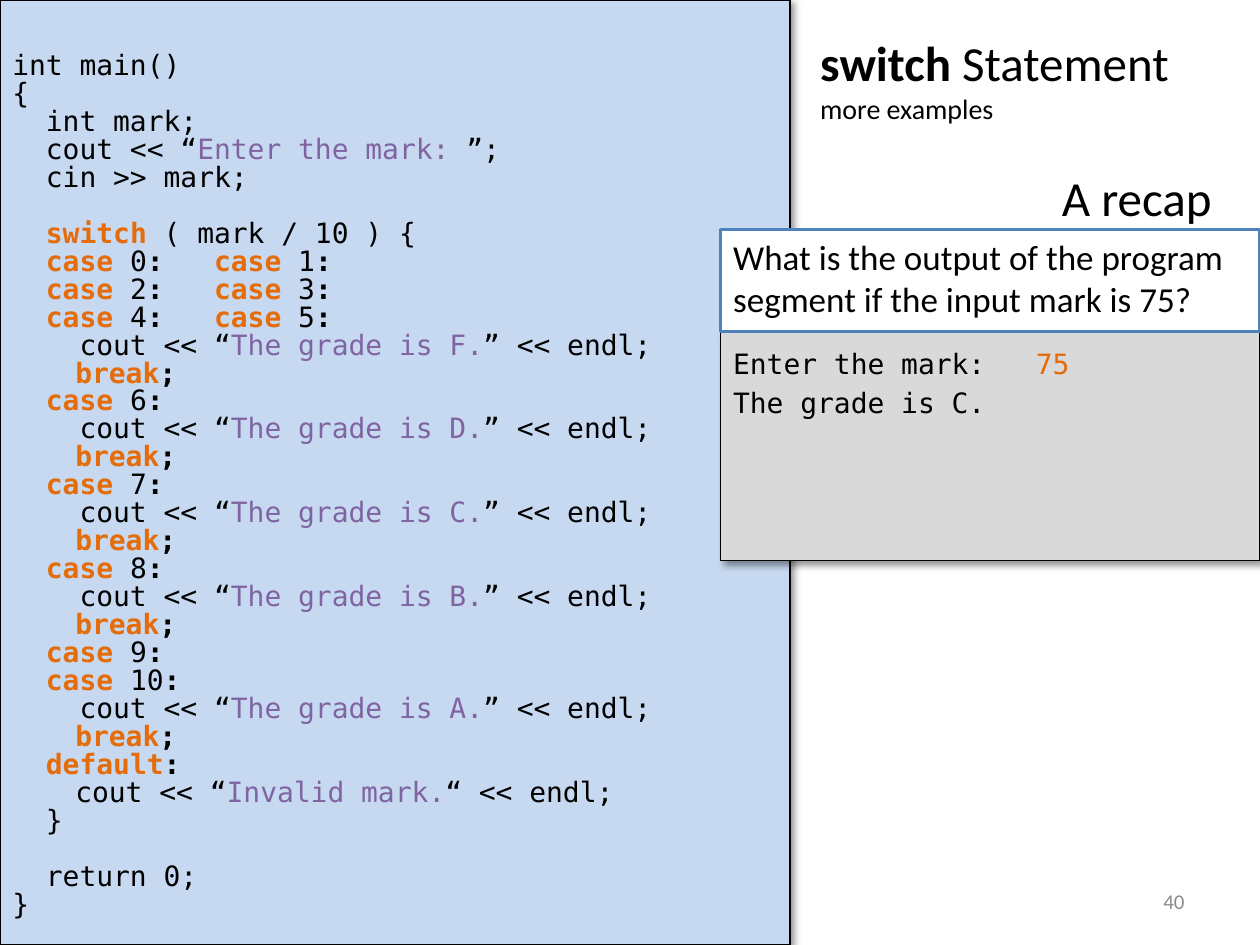
"""Build a slide that explains the switch statement with a worked example."""
from dataclasses import dataclass
from typing import Optional

from lxml import etree
from pptx import Presentation
from pptx import util as u
from pptx.dml.color import RGBColor
from pptx.enum import shapes, text
from pptx.oxml import ns

BLACK = RGBColor(0x00, 0x00, 0x00)
WHITE = RGBColor(0xFF, 0xFF, 0xFF)
PALE_BLUE = RGBColor(0xC6, 0xD9, 0xF1)
BLUE = RGBColor(0x4F, 0x81, 0xBD)
LIGHT_GREY = RGBColor(0xD9, 0xD9, 0xD9)
GREY = RGBColor(0x8C, 0x8C, 0x8C)
ORANGE = RGBColor(0xE4, 0x6C, 0x0A)
PURPLE = RGBColor(0x80, 0x64, 0xA2)

SANS, MONO = "Calibri", "DejaVu Sans Mono"
COLUMNS, ROWS = 100, 75
CELL = u.Inches(0.1)
CODE_PITCH = u.Pt(16)
CODE_TAB = u.Inches(0.5)


@dataclass(frozen=True)
class Area:
    """A place on the slide, in columns and rows of the grid."""
    left: float
    top: float
    width: float
    height: float

    def lengths(self) -> list[int]:
        """Return left, top, width and height as slide lengths."""
        return [round(n * CELL) for n in (self.left, self.top, self.width, self.height)]


@dataclass(frozen=True)
class Span:
    """A piece of text in one format; size overrides that of the box."""
    words: str
    colour: RGBColor = BLACK
    bold: bool = False
    size: Optional[float] = None


@dataclass(frozen=True)
class Line:
    """A paragraph, optionally one empty line below the previous one."""
    spans: tuple[Span, ...]
    gap: bool = False


def line(*parts: Span | str, gap: bool = False) -> Line:
    """Make a line from spans and plain strings."""
    return Line(tuple(Span(p) if isinstance(p, str) else p for p in parts), gap)


def keyword(word: str) -> Span:
    """Make a highlighted keyword."""
    return Span(word, ORANGE, True)


def cases(*values: int) -> Line:
    """Make a line of case labels."""
    parts: list[Span | str] = ["  "]
    for value in values:
        colon = ":" if value == values[-1] else ":   "
        parts += [keyword("case "), str(value), Span(colon, bold=True)]
    return line(*parts)


def output(message: str, indent: str = "    ", close: str = "”") -> Line:
    """Make a statement that prints a message."""
    return line(f"{indent}cout << “", Span(message, PURPLE), f"{close} << endl;")


def branch(grade: str, *labels: Line) -> list[Line]:
    """Make the labels, output and break of one grade."""
    stop = line("\t", keyword("break"), Span(";", bold=True))
    return [*labels, output(f"The grade is {grade}."), stop]


def program() -> list[Line]:
    """Return the listing."""
    return [
        line("int main()"),
        line("{"),
        line("  int mark;"),
        line("  cout << “", Span("Enter the mark: ", PURPLE), "”;"),
        line("  cin >> mark;"),
        line("  ", keyword("switch "), "( mark / 10 ) {", gap=True),
        *branch("F", cases(0, 1), cases(2, 3), cases(4, 5)),
        *branch("D", cases(6)),
        *branch("C", cases(7)),
        *branch("B", cases(8)),
        *branch("A", cases(9), cases(10)),
        line("  ", keyword("default"), Span(":", bold=True)),
        output("Invalid mark.", "\t", "“"),
        line("  }"),
        line("  return 0;", gap=True),
        line("}"),
    ]


def write(box, lines: list[Line], *, size: float, font: str = SANS,
          align=text.PP_ALIGN.LEFT, anchor=text.MSO_ANCHOR.TOP, wrap: bool = True,
          top: float = 0.05, pitch: Optional[int] = None, tab: Optional[int] = None) -> None:
    """Fill a box with formatted lines."""
    frame = box.text_frame
    frame.auto_size = text.MSO_AUTO_SIZE.NONE
    frame.word_wrap = wrap
    frame.vertical_anchor = anchor
    frame.margin_top = u.Inches(top)
    for index, item in enumerate(lines):
        para = frame.add_paragraph() if index else frame.paragraphs[0]
        para.alignment = align
        if pitch:
            para.line_spacing = pitch
        if item.gap:
            para.space_before = pitch
        if tab:
            stops = etree.SubElement(para._p.get_or_add_pPr(), ns.qn("a:tabLst"))
            etree.SubElement(stops, ns.qn("a:tab"), pos=str(tab), algn="l")
        for piece in item.spans:
            if piece.words == "\n":
                para.add_line_break()
                continue
            span = para.add_run()
            span.text = piece.words
            span.font.name = font
            span.font.size = u.Pt(piece.size or size)
            span.font.bold = piece.bold
            span.font.color.rgb = piece.colour


def add_panel(page, area: Area, fill: RGBColor, border: RGBColor = BLACK,
              weight: float = 0.75, shadow: bool = True):
    """Add a filled rectangle, with a soft shadow if wanted."""
    box = page.shapes.add_shape(shapes.MSO_SHAPE.RECTANGLE, *area.lengths())
    box.fill.solid()
    box.fill.fore_color.rgb = fill
    box.line.color.rgb = border
    box.line.width = u.Pt(weight)
    box.shadow.inherit = False
    if shadow:
        effects = box._element.spPr.find(ns.qn("a:effectLst"))
        outer = etree.SubElement(effects, ns.qn("a:outerShdw"), blurRad=str(u.Pt(4)),
                                 dist=str(u.Pt(3)), dir=str(45 * 60000),
                                 algn="tl", rotWithShape="0")
        colour = etree.SubElement(outer, ns.qn("a:srgbClr"), val=str(BLACK))
        etree.SubElement(colour, ns.qn("a:alpha"), val="40000")
    return box


def add_label(page, area: Area):
    """Add an empty text box."""
    return page.shapes.add_textbox(*area.lengths())


def main() -> None:
    """Build and save the deck."""
    deck = Presentation()
    deck.slide_width, deck.slide_height = COLUMNS * CELL, ROWS * CELL
    page = deck.slides.add_slide(deck.slide_layouts[5])

    title = page.shapes.title
    title.left, title.top, title.width, title.height = Area(64.1, 0, 51.2, 12.5).lengths()
    heading = line(Span("switch", bold=True), " Statement", "\n", Span("more examples", size=16))
    write(title, [heading], size=28, anchor=text.MSO_ANCHOR.MIDDLE)

    listing = add_panel(page, Area(0, 0, 62.7, ROWS), PALE_BLUE)
    write(listing, program(), size=16, font=MONO, top=0.42, pitch=CODE_PITCH, tab=CODE_TAB)

    console = add_panel(page, Area(57.2, 26.3, 42.8, 18.2), LIGHT_GREY)
    prompt = line("Enter the mark:   ", Span("75", ORANGE))
    write(console, [prompt], size=16, font=MONO, top=0.12)
    result = add_label(page, Area(57.2, 28.8, 42.8, 8.6))
    write(result, [line("The grade is C.")], size=16, font=MONO, top=0.18)

    question = add_panel(page, Area(57.2, 18.2, 42.8, 8.1), WHITE, BLUE, 2, shadow=False)
    write(question, [line("What is the output of the program segment if the input mark is 75?")],
          size=20)

    recap = add_label(page, Area(83.3, 12.8, 13.9, 5.7))
    write(recap, [line("A recap")], size=28, wrap=False)
    number = add_label(page, Area(71.7, 69.5, 23.3, 4))
    write(number, [line(Span("40", GREY))], size=12, align=text.PP_ALIGN.RIGHT,
          anchor=text.MSO_ANCHOR.MIDDLE)

    deck.save("out.pptx")


if __name__ == "__main__":
    main()
